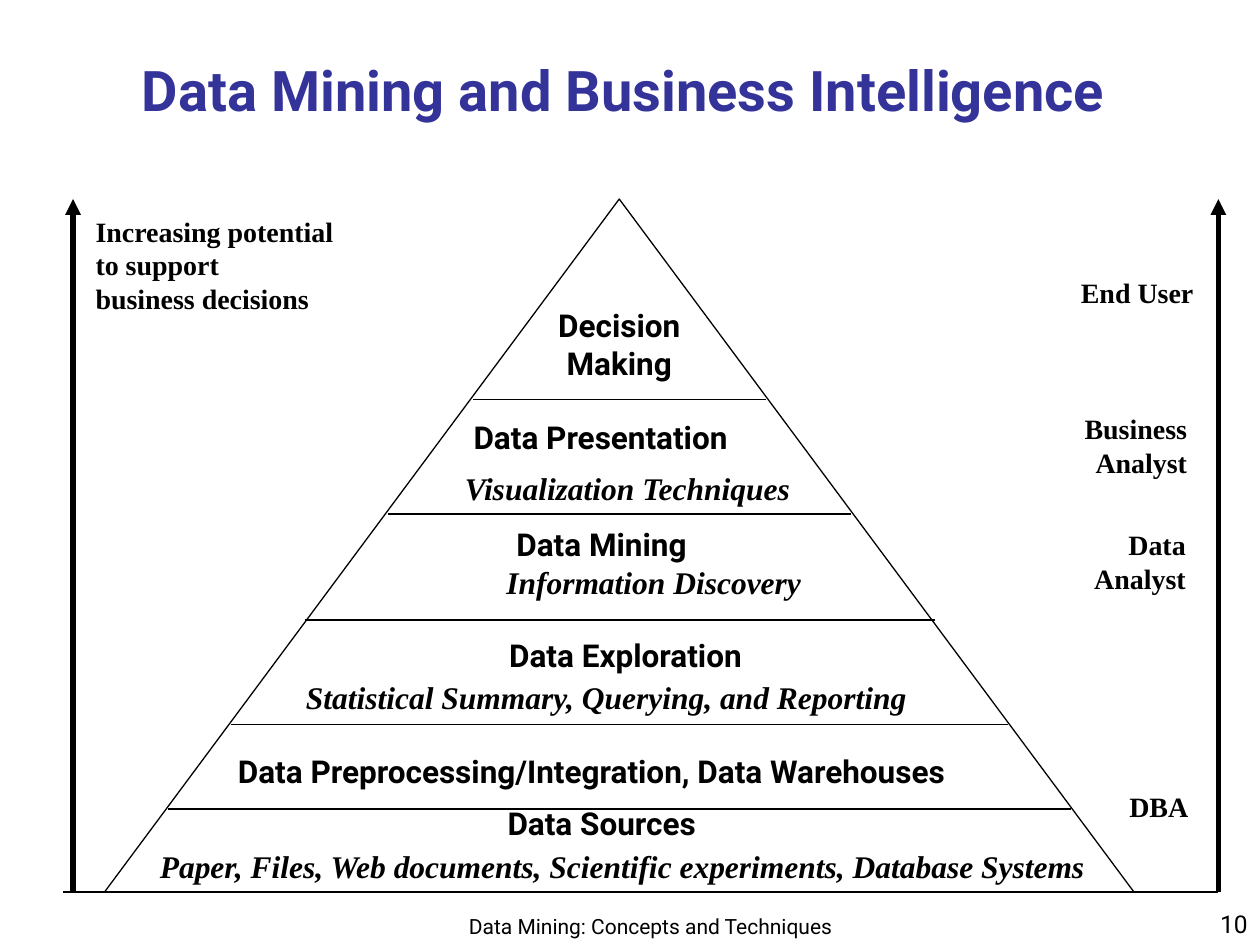
import pptx
import pptx.dml.color
import pptx.enum.shapes
import pptx.enum.text
import pptx.oxml
import pptx.oxml.ns
import pptx.util

Inches = pptx.util.Inches
Pt = pptx.util.Pt
ALIGN = pptx.enum.text.PP_ALIGN
ANCHOR = pptx.enum.text.MSO_ANCHOR

BLACK = pptx.dml.color.RGBColor(0x00, 0x00, 0x00)
NAVY = pptx.dml.color.RGBColor(0x33, 0x33, 0x99)

SANS, SERIF = "Roboto", "Times New Roman"
TITLE = {"name": SANS, "size": Pt(32), "bold": True}
STAGE = {"name": SANS, "size": Pt(18), "bold": True}
DETAIL = {"name": SERIF, "size": Pt(18), "bold": True, "italic": True}
ROLE = {"name": SERIF, "size": Pt(16), "bold": True}
FOOTER = {"name": SANS, "size": Pt(12)}
NUMBER = {"name": SANS, "size": Pt(14)}

TOP, BASE = 1.58, 7.08

# Left end, right end and height of the lines between pyramid levels
LEVELS = [
    (1.33, 8.5, 6.42),
    (1.83, 8, 5.75),
    (2.42, 7.42, 4.92),
    (3.08, 6.75, 4.08),
    (3.75, 6.08, 3.17),
]

# Text, box and format of the captions inside the pyramid
CAPTIONS = [
    ("Decision Making", (4.25, 2.38, 1.33, 0.7), STAGE, ALIGN.CENTER),
    ("Data Presentation", (3.66, 3.27, 2.48, 0.4), STAGE, ALIGN.LEFT),
    ("Visualization Techniques", (3.59, 3.67, 2.82, 0.4), DETAIL, ALIGN.LEFT),
    ("Data Mining", (4, 4.12, 1.95, 0.4), STAGE, ALIGN.LEFT),
    ("Information Discovery", (3.92, 4.42, 2.54, 0.4), DETAIL, ALIGN.LEFT),
    ("Data Exploration", (3.68, 5, 2.57, 0.4), STAGE, ALIGN.CENTER),
    ("Statistical Summary, Querying, and Reporting",
     (2.33, 5.33, 5, 0.4), DETAIL, ALIGN.LEFT),
    ("Data Preprocessing/Integration, Data Warehouses",
     (1.79, 5.92, 6.5, 0.4), STAGE, ALIGN.LEFT),
    ("Data Sources", (3.93, 6.33, 1.83, 0.4), STAGE, ALIGN.LEFT),
    ("Paper, Files, Web documents, Scientific experiments, Database Systems",
     (1.17, 6.67, 7.79, 0.4), DETAIL, ALIGN.LEFT),
]

# Labels beside the two arrows
SIDE_LABELS = [
    ("Increasing potential\nto support\nbusiness decisions",
     (0.66, 1.65, 2.09, 0.9), ALIGN.LEFT),
    ("End User", (8.48, 2.14, 1.09, 0.37), ALIGN.RIGHT),
    ("Business\nAnalyst", (8.48, 3.22, 1.04, 0.64), ALIGN.RIGHT),
    ("Data\nAnalyst", (8.58, 4.14, 0.93, 0.64), ALIGN.RIGHT),
    ("DBA", (8.86, 6.22, 0.67, 0.37), ALIGN.RIGHT),
]


def write_text(tf, text, fmt, align, color=BLACK, anchor=ANCHOR.TOP, wrap=True):
    tf.text = text
    tf.word_wrap = wrap
    tf.vertical_anchor = anchor
    for p in tf.paragraphs:
        p.alignment = align
        for r in p.runs:
            for key, value in fmt.items():
                setattr(r.font, key, value)
            r.font.color.rgb = color


def add_text(slide, text, box, fmt, align, **options):
    sp = slide.shapes.add_textbox(*map(Inches, box))
    write_text(sp.text_frame, text, fmt, align, **options)


def add_title(slide, text):
    sp = slide.shapes.title
    sp.left, sp.top, sp.width, sp.height = map(Inches, (0.2, 0.42, 9.5, 0.58))
    write_text(sp.text_frame, text, TITLE, ALIGN.CENTER, color=NAVY,
               anchor=ANCHOR.MIDDLE)


def add_line(slide, x1, y1, x2, y2, width=0.75, arrow=False):
    line = slide.shapes.add_connector(
        pptx.enum.shapes.MSO_CONNECTOR.STRAIGHT, *map(Inches, (x1, y1, x2, y2)))
    line.line.color.rgb = BLACK
    line.line.width = Pt(width)
    if arrow:
        ln = line.line._get_or_add_ln()
        ln.append(pptx.oxml.parse_xml(
            '<a:tailEnd %s type="triangle"/>' % pptx.oxml.ns.nsdecls("a")))
    line._element.spPr.append(pptx.oxml.parse_xml(
        "<a:effectLst %s/>" % pptx.oxml.ns.nsdecls("a")))


def add_pyramid(slide):
    sp = slide.shapes.add_shape(
        pptx.enum.shapes.MSO_SHAPE.FLOWCHART_EXTRACT,
        Inches(0.83), Inches(TOP), Inches(8.17), Inches(BASE - TOP))
    sp.shadow.inherit = False
    sp.fill.background()
    sp.line.color.rgb = BLACK
    sp.line.width = Pt(0.75)
    for left, right, y in LEVELS:
        add_line(slide, left, y, right, y)


def main():
    prs = pptx.Presentation()
    prs.slide_width, prs.slide_height = Inches(10), Inches(7.5)
    slide = prs.slides.add_slide(prs.slide_layouts[5])

    add_title(slide, "Data Mining and Business Intelligence")

    # Pyramid, arrows on both sides and the ground line
    add_pyramid(slide)
    for x in (0.58, 9.67):
        add_line(slide, x, BASE, x, TOP, width=3, arrow=True)
    add_line(slide, 0.5, BASE, 9.67, BASE)

    # Labels
    for text, box, align in SIDE_LABELS:
        add_text(slide, text, box, ROLE, align, wrap=False)
    for text, box, fmt, align in CAPTIONS:
        add_text(slide, text, box, fmt, align)

    # Footer and slide number
    add_text(slide, "Data Mining: Concepts and Techniques",
             (3.58, 7.08, 3.17, 0.42), FOOTER, ALIGN.CENTER, anchor=ANCHOR.BOTTOM)
    add_text(slide, "10", (7.92, 7, 2.08, 0.5), NUMBER, ALIGN.RIGHT,
             anchor=ANCHOR.BOTTOM)

    prs.save("out.pptx")


if __name__ == "__main__":
    main()
